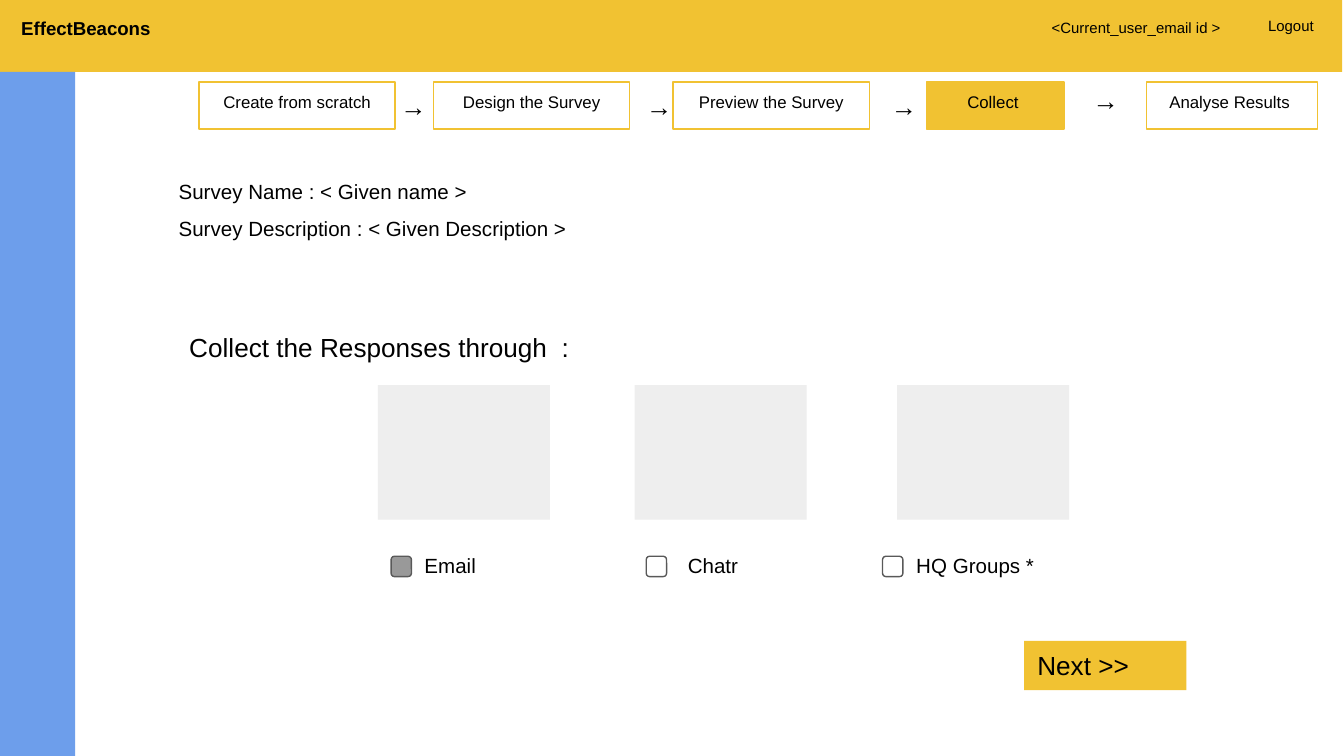
from pptx import Presentation
from pptx.dml.color import RGBColor
from pptx.enum.shapes import MSO_SHAPE
from pptx.enum.text import MSO_ANCHOR, MSO_AUTO_SIZE, PP_ALIGN
from pptx.util import Pt

RECT, ROUNDED = MSO_SHAPE.RECTANGLE, MSO_SHAPE.ROUNDED_RECTANGLE
LEFT, CENTER = PP_ALIGN.LEFT, PP_ALIGN.CENTER
TOP, MIDDLE = MSO_ANCHOR.TOP, MSO_ANCHOR.MIDDLE
GROW, FIXED = MSO_AUTO_SIZE.SHAPE_TO_FIT_TEXT, MSO_AUTO_SIZE.NONE

BLACK = RGBColor(0x00, 0x00, 0x00)
AMBER = RGBColor(0xF1, 0xC2, 0x32)
BLUE = RGBColor(0x6D, 0x9E, 0xEB)
PALE_GRAY = RGBColor(0xEE, 0xEE, 0xEE)
CHECKED_GRAY = RGBColor(0x99, 0x99, 0x99)
OUTLINE_GRAY = RGBColor(0x59, 0x59, 0x59)

INSET = Pt(7.2)
FRAME_FORMAT = {
    "margin_left": INSET,
    "margin_top": INSET,
    "margin_right": INSET,
    "margin_bottom": INSET,
    "word_wrap": True,
}


def set_all(target, values):
    for name, value in values.items():
        setattr(target, name, value)


def write(frame, lines, size, align=LEFT, anchor=TOP, fit=GROW, spacing=None, bold=False):
    set_all(frame, {**FRAME_FORMAT, "vertical_anchor": anchor, "auto_size": fit})
    for index, line in enumerate(lines):
        paragraph = frame.add_paragraph() if index else frame.paragraphs[0]
        set_all(paragraph, {"alignment": align, "line_spacing": spacing})
        run = paragraph.add_run()
        run.text = line
        set_all(run.font, {"name": "Arial", "size": Pt(size), "bold": bold})
        run.font.color.rgb = BLACK


def add_label(shapes, box, lines, size, **options):
    label = shapes.add_textbox(*map(Pt, box))
    write(label.text_frame, lines, size, **options)


def add_block(shapes, box, fill=None, outline=None, kind=RECT):
    block = shapes.add_shape(kind, *map(Pt, box))
    block.shadow.inherit = False
    if fill is None:
        block.fill.background()
    else:
        block.fill.solid()
        block.fill.fore_color.rgb = fill
    if outline is None:
        block.line.fill.background()
    else:
        block.line.color.rgb = outline
        block.line.width = Pt(0.75)
    return block


def add_header(shapes, box):
    left, top, width, height = box
    header = shapes.add_group_shape().shapes
    add_block(header, box, AMBER)
    add_label(header, (left + 5.3, top + 4.4, 103, 26.6), ["EffectBeacons"], 10, bold=True)
    add_label(header, (left + width - 46.8, top + 5.8, 46.8, 24.5), ["Logout"], 8)
    add_label(header, (left + width - 162.7, top + 6.5, 116, 24.5),
              ["<Current_user_email id >"], 8)


def add_survey_details(shapes, box):
    lines = ["Survey Name : < Given name >", "Survey Description : < Given Description >"]
    add_label(shapes, box, lines, 11, spacing=1.5)


def add_channels(shapes, box):
    left, top, width, height = box
    add_label(shapes, (left, top, width, 31.7), ["Collect the Responses through  :"], 14)
    channels = [
        ("Email", 108.1, 115.2, 126, CHECKED_GRAY),
        ("Chatr", 245.7, 251.9, 267.1, None),
        ("HQ Groups *", 386.3, 378.5, 389.5, None),
    ]
    for name, card_x, checkbox_x, name_x, check_fill in channels:
        add_block(shapes, (left + card_x, top + 35.8, 92.2, 72), PALE_GRAY)
        add_label(shapes, (left + name_x, top + 118.8, 86.4, 28), [name], 11)
        add_block(shapes, (left + checkbox_x, top + 127.4, 10.9, 10.9),
                  check_fill, OUTLINE_GRAY, ROUNDED)


def add_next_button(shapes, box):
    button = add_block(shapes, box, AMBER)
    write(button.text_frame, ["Next >>"], 14, anchor=MIDDLE, fit=FIXED)


def add_steps(shapes, box):
    left, top, width, height = box
    steps = [
        ("Create from scratch", 0, 105.1, None),
        ("Design the Survey", 125.6, 105.1, None),
        ("Preview the Survey", 254, 105.1, None),
        ("Collect ", 389.8, 73.6, AMBER),
        ("Analyse Results ", 507.6, 91.5, None),
    ]
    for name, step_x, step_width, fill in steps:
        step = add_block(shapes, (left + step_x, top, step_width, height), fill, AMBER)
        write(step.text_frame, [name], 9, align=CENTER)
    for arrow_x, rise in [(100.8, 2.9), (232.5, 2.9), (363.6, 2.9), (471.6, 5.7)]:
        add_label(shapes, (left + arrow_x, top - rise, 28, 31.7), ["→"], 14, align=CENTER)


def main():
    presentation = Presentation()
    set_all(presentation, {"slide_width": Pt(720), "slide_height": Pt(405)})
    shapes = presentation.slides.add_slide(presentation.slide_layouts[6]).shapes
    add_header(shapes, (-1, -1.5, 720, 40))
    add_block(shapes, (0, 38.5, 40.3, 366.5), BLUE)
    add_survey_details(shapes, (88.6, 82.1, 384.5, 48.2))
    add_channels(shapes, (94.3, 170.6, 393, 147))
    add_next_button(shapes, (548.6, 343.3, 87, 26.5))
    add_steps(shapes, (106.6, 43.9, 599.1, 25.3))
    presentation.save("out.pptx")


if __name__ == "__main__":
    main()
